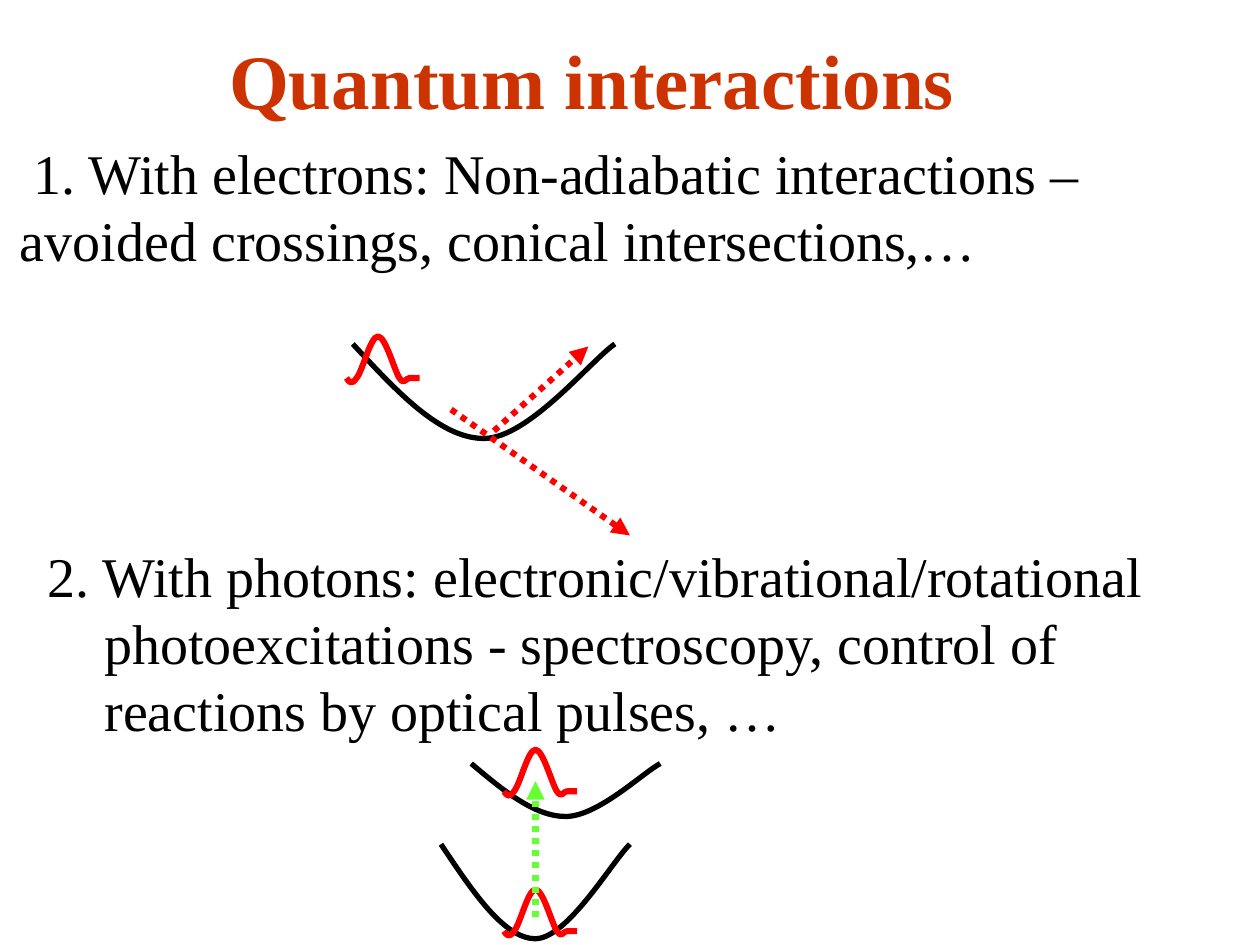
from lxml.etree import SubElement
from pptx import Presentation
from pptx.dml.color import RGBColor
from pptx.enum.dml import MSO_LINE
from pptx.enum.shapes import MSO_CONNECTOR
from pptx.oxml.ns import qn
from pptx.util import Inches, Pt

COLORS = {"title": "CC3300", "body": "000000", "well": "000000",
          "hill": "FFFFFF", "wave": "FF0000", "pulse": "66FF33"}

deck = Presentation()
deck.slide_width, deck.slide_height = Inches(10), Inches(7.5)
slide = deck.slides.add_slide(deck.slide_layouts[6])


def add_text(box, lines, size, color, bold, wrap):
    frame = slide.shapes.add_textbox(*map(Inches, box)).text_frame
    frame.word_wrap = wrap
    for i, (text, margin, indent, gap) in enumerate(lines):
        para = frame.paragraphs[0] if i == 0 else frame.add_paragraph()
        para.text = text
        props = para._p.get_or_add_pPr()
        props.set("marL", str(Inches(margin)))
        props.set("indent", str(Inches(indent)))
        if gap:
            para.space_before = Pt(gap)
        font = para.runs[0].font
        font.name, font.size, font.bold = "Times New Roman", Pt(size), bold
        font.color.rgb = RGBColor.from_string(COLORS[color])


def add_curve(left, top, knots, color, width):
    dots = [(Inches(left + x), Inches(top + y)) for x, y in knots]
    pen = slide.shapes.build_freeform(*dots[0])
    pen.add_line_segments(dots[1:], close=False)
    curve = pen.convert_to_shape()
    lines = list(curve._element.iter(qn("a:lnTo")))
    track = lines[0].getparent()
    for k in range(0, len(lines), 3):
        bend = SubElement(track, qn("a:cubicBezTo"))
        for line in lines[k:k + 3]:
            bend.append(line[0])
            track.remove(line)
    curve.shadow.inherit = False
    curve.fill.background()
    curve.line.color.rgb = RGBColor.from_string(COLORS[color])
    curve.line.width = Pt(width)


add_text((1.57, 0.21, 6.11, 0.84),
         [("Quantum interactions", 0, 0.15, 0)], 44, "title", True, False)
add_text((0.06, 1.05, 9.58, 5.3), [
    ("1. With electrons: Non-adiabatic interactions – avoided crossings, "
     "conical intersections,…", 0, 0.11, 0),
    ("2. With photons: electronic/vibrational/rotational", 0.22, 0, 153.5),
    ("photoexcitations - spectroscopy, control of", 0.67, 0, 0),
    ("reactions by optical pulses, …", 0.67, 0, 0),
], 32, "body", False, True)

well = [(0, 0), (1 / 6, 0.5), (1 / 3, 1), (0.5, 1),
        (0.67, 1), (0.91, 0.17), (1, 0)]
for left, top, wide, high, color in [(2.8, 2.73, 2.08, 0.75, "well"),
                                     (2.83, 4.33, 2.17, -0.58, "hill"),
                                     (3.74, 6.06, 1.5, 0.42, "well"),
                                     (3.5, 6.7, 1.5, 0.75, "well")]:
    add_curve(left, top, [(x * wide, y * high) for x, y in well], color, 3)

wave = [(0, 0.33), (0.02, 0.36), (0.04, 0.39), (0.08, 0.33),
        (0.13, 0.27), (0.19, 0), (0.25, 0),
        (0.31, 0), (0.38, 0.27), (0.42, 0.33),
        (0.46, 0.39), (0.47, 0.33), (0.5, 0.33),
        (0.53, 0.33), (0.56, 0.33), (0.58, 0.33)]
for left, top in [(2.75, 2.67), (4, 7.06), (4, 5.95)]:
    add_curve(left, top, wave, "wave", 3.5)

for ends, color in [((3.92, 3.42, 4.67, 2.75), "wave"),
                    ((3.58, 3.25, 5, 4.25), "wave"),
                    ((4.25, 7.28, 4.25, 6.2), "pulse")]:
    arrow = slide.shapes.add_connector(MSO_CONNECTOR.STRAIGHT, *map(Inches, ends))
    arrow.line.color.rgb = RGBColor.from_string(COLORS[color])
    arrow.line.width = Pt(3.5)
    arrow.line.dash_style = MSO_LINE.ROUND_DOT
    SubElement(arrow.line._get_or_add_ln(), qn("a:tailEnd"), type="triangle")
    SubElement(arrow._element.spPr, qn("a:effectLst"))

deck.save("out.pptx")
